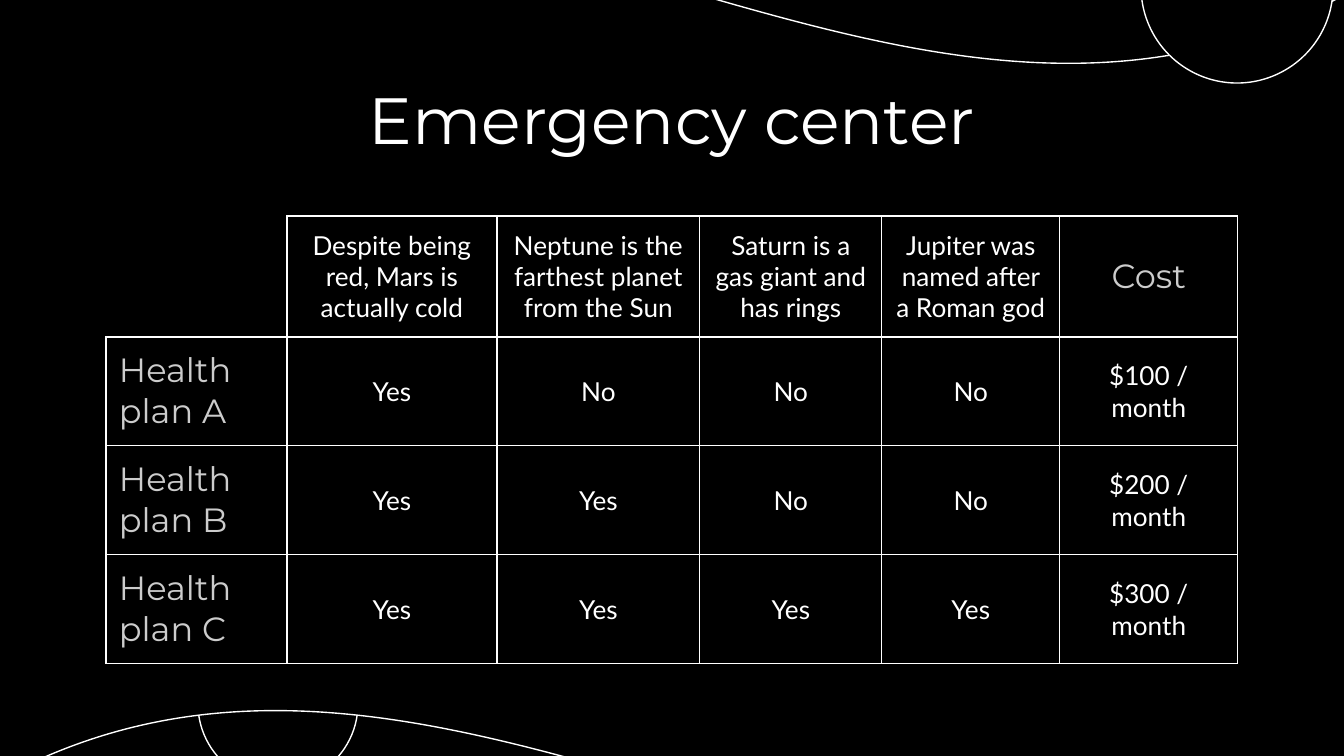
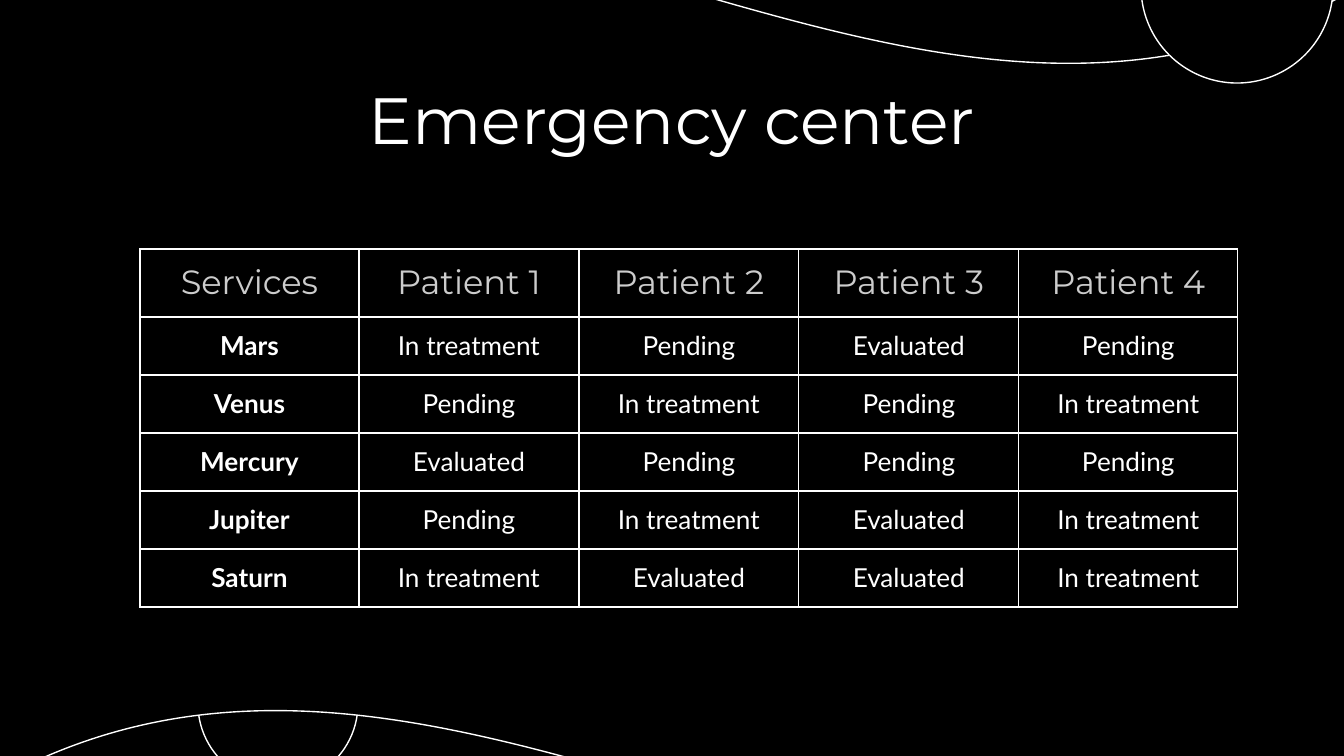
"""Builds two dark slides with tables for an emergency center."""
from lxml import etree
from pptx import Presentation
from pptx import util as u
from pptx.dml.color import RGBColor
from pptx.enum import shapes, text
from pptx.oxml.ns import qn

PX = 914400 / 134.4
INSET = 13
BLACK, WHITE, GREY = "000000", "FFFFFF", "CCCCCC"
TITLE = ("Montserrat", 35, WHITE, False)
HEADING = ("Montserrat", 18, GREY, False)
BODY = ("Lato", 14, WHITE, False)
BOLD = ("Lato", 14, WHITE, True)
CENTER, LEFT = text.PP_ALIGN.CENTER, text.PP_ALIGN.LEFT
TOP, MIDDLE = text.MSO_ANCHOR.TOP, text.MSO_ANCHOR.MIDDLE


def emu(*lengths):
    return [u.Emu(round(length * PX)) for length in lengths]


def write(holder, frame, words, style, align, anchor):
    holder.margin_left, holder.margin_top, holder.margin_right, holder.margin_bottom = emu(*[INSET] * 4)
    holder.vertical_anchor = anchor
    frame.word_wrap = True
    frame.paragraphs[0].alignment = align
    run = frame.paragraphs[0].add_run()
    run.text = words
    run.font.name, size, color, run.font.bold = style
    run.font.size = u.Pt(size)
    run.font.color.rgb = RGBColor.from_string(color)


decorations = [
    (shapes.MSO_SHAPE.OVAL, (198, 624, 160, 160)),
    (shapes.MSO_SHAPE.WAVE, (-15, -93, 1374, 960)),
    (shapes.MSO_SHAPE.OVAL, (1141, -109, 192, 192)),
]
plans = [
    ["", "Despite being red, Mars is actually cold", "Neptune is the farthest planet from the Sun",
     "Saturn is a gas giant and has rings", "Jupiter was named after a Roman god", "Cost"],
    ["Health plan A", "Yes", "No", "No", "No", "$100 / month"],
    ["Health plan B", "Yes", "Yes", "No", "No", "$200 / month"],
    ["Health plan C", "Yes", "Yes", "Yes", "Yes", "$300 / month"],
]
patients = [
    ["Services", "Patient 1", "Patient 2", "Patient 3", "Patient 4"],
    ["Mars", "In treatment", "Pending", "Evaluated", "Pending"],
    ["Venus", "Pending", "In treatment", "Pending", "In treatment"],
    ["Mercury", "Evaluated", "Pending", "Pending", "Pending"],
    ["Jupiter", "Pending", "In treatment", "Evaluated", "In treatment"],
    ["Saturn", "In treatment", "Evaluated", "Evaluated", "In treatment"],
]
# Each entry: origin, column widths, row heights, cell words, style of the first column, its alignment, anchors
pages = [
    ((106, 216), [181, 210, 203, 182, 178, 178], [121] + [109] * 3, plans, HEADING, LEFT, MIDDLE),
    ((140, 249), [219, 220, 220, 220, 219], [68] + [58] * 5, patients, BOLD, CENTER, TOP),
]

deck = Presentation()
deck.slide_width, deck.slide_height = emu(1344, 756)

for origin, widths, heights, rows, label_style, label_align, anchor in pages:
    slide = deck.slides.add_slide(deck.slide_layouts[6])
    slide.background.fill.solid()
    slide.background.fill.fore_color.rgb = RGBColor.from_string(BLACK)

    for outline, place in decorations:
        orbit = slide.shapes.add_shape(outline, *emu(*place))
        orbit.shadow.inherit = False
        orbit.fill.solid()
        orbit.fill.fore_color.rgb = RGBColor.from_string(BLACK)
        orbit.line.color.rgb = RGBColor.from_string(WHITE)
        orbit.line.width = u.Pt(0.75)
        if outline == shapes.MSO_SHAPE.WAVE:
            orbit.adjustments[0] = 0.083

    title = slide.shapes.add_textbox(*emu(106, 66, 1132, 85)).text_frame
    write(title, title, "Emergency center", TITLE, CENTER, TOP)

    grid = slide.shapes.add_table(
        len(rows), len(widths), *emu(*origin, sum(widths), sum(heights))).table
    grid.first_row = grid.horz_banding = False
    for column, width in zip(grid.columns, emu(*widths)):
        column.width = width
    for row, height in zip(grid.rows, emu(*heights)):
        row.height = height

    for r, row in enumerate(rows):
        for c, words in enumerate(row):
            cell = grid.cell(r, c)
            borders = cell._tc.get_or_add_tcPr()
            for side in ("lnL", "lnR", "lnT", "lnB"):
                edge = etree.SubElement(borders, qn(f"a:{side}"), w=str(u.Pt(0.75)))
                if words or side in ("lnR", "lnB"):
                    paint = etree.SubElement(edge, qn("a:solidFill"))
                    etree.SubElement(paint, qn("a:srgbClr"), val=WHITE)
                else:
                    etree.SubElement(edge, qn("a:noFill"))
            cell.fill.background()
            if not words:
                continue
            if r and c == 0:
                write(cell, cell.text_frame, words, label_style, label_align, TOP)
            else:
                heading = words == "Cost" or (r == 0 and rows is patients)
                write(cell, cell.text_frame, words, HEADING if heading else BODY, CENTER, anchor)

deck.save("out.pptx")
